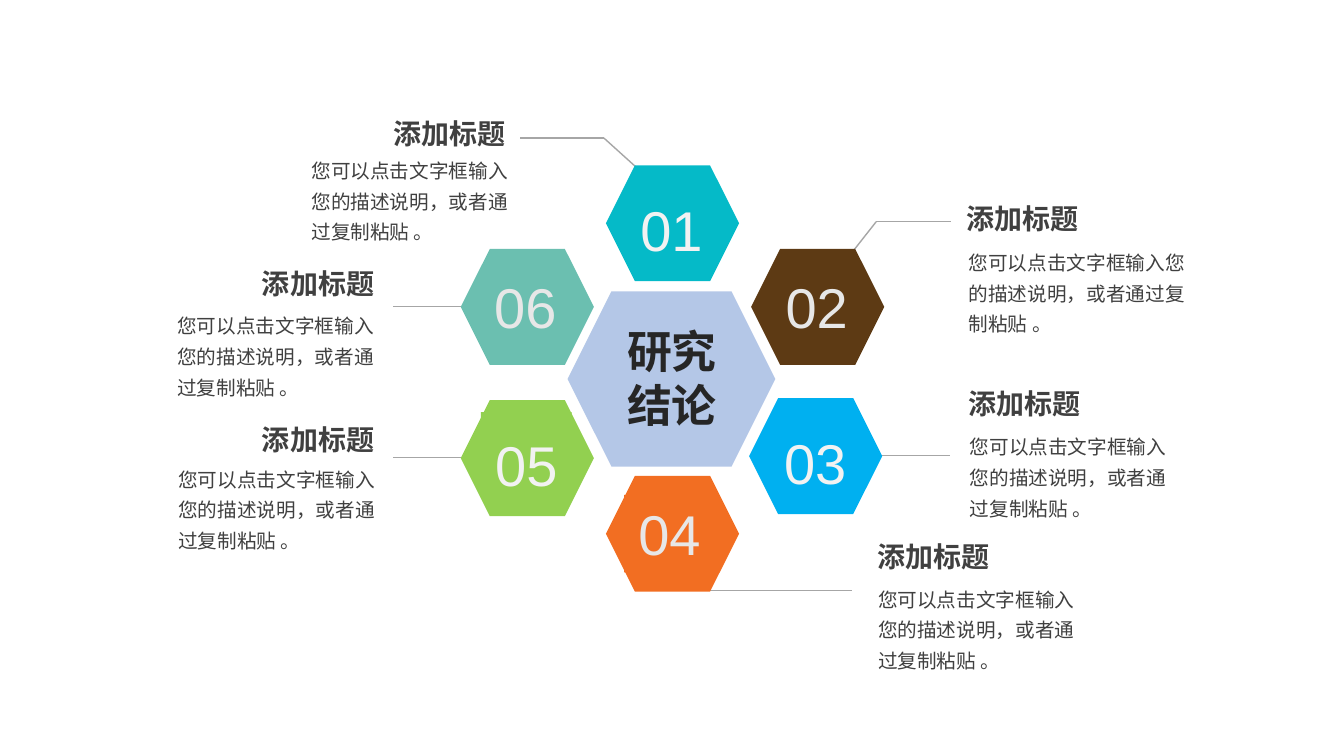
from dataclasses import dataclass
from itertools import pairwise

from lxml.etree import SubElement
from pptx import Presentation
from pptx.dml.color import RGBColor
from pptx.enum.shapes import MSO_CONNECTOR as Connector, MSO_SHAPE as Shape
from pptx.enum.text import MSO_ANCHOR as Anchor, MSO_AUTO_SIZE as AutoSize, PP_ALIGN as Align
from pptx.oxml.ns import qn
from pptx.util import Inches, Pt

LATIN_FONT = "Arial"
CHINESE_FONT = "Noto Sans CJK SC"
HEADING = "添加标题"
BODY = "您可以点击文字框输入您的描述说明，或者通过复制粘贴 。"
CENTRE_TITLE = "研究结论"
CENTRE_FILL = "B4C7E7"
LINE_COLOUR = "A6A6A6"
DARK_TEXT = "404040"
SOFT_WHITE = "E7E7E7"
BRIGHT_WHITE = "F2F2F2"

Point = tuple[float, float]
Area = tuple[float, float, float, float]


@dataclass
class TextStyle:
    size: int
    colour: str
    font: str = CHINESE_FONT
    bold: bool = False
    align: Align = Align.LEFT
    spacing: float = 1.0
    wrap: bool = True


@dataclass
class Topic:
    number: str
    fill: str
    hexagon: Point
    number_area: Area
    number_colour: str
    number_spacing: float
    heading: Point
    heading_align: Align
    body: Point
    leader: list[Point]
    body_width: float = 2.22
    number_backed: bool = False


TOPICS = [
    Topic("01", "05BAC8", (6.01, 1.64), (6.18, 1.76, 0.96, 0.83), BRIGHT_WHITE, 1.2,
          (3.79, 1.11), Align.RIGHT, (2.99, 1.46), [(6.3, 1.65), (5.99, 1.37), (5.16, 1.37)]),
    Topic("02", "5D3A14", (7.45, 2.47), (7.65, 2.65, 0.9, 0.77), SOFT_WHITE, 1.0,
          (9.49, 1.95), Align.LEFT, (9.51, 2.37), [(8.47, 2.48), (8.69, 2.2), (9.43, 2.2)],
          body_width=2.53),
    Topic("03", "00B0F0", (7.43, 3.95), (7.58, 4.07, 1.01, 0.83), BRIGHT_WHITE, 1.2,
          (9.51, 3.79), Align.LEFT, (9.52, 4.2), [(8.75, 4.52), (9.42, 4.52)]),
    Topic("04", "F26E22", (6.01, 4.72), (6.19, 4.91, 0.9, 0.77), SOFT_WHITE, 1.0,
          (8.6, 5.3), Align.LEFT, (8.61, 5.71), [(7.04, 5.86), (8.45, 5.86)],
          number_backed=True),
    Topic("05", "92D050", (4.57, 3.97), (4.77, 4.09, 0.9, 0.83), BRIGHT_WHITE, 1.2,
          (2.49, 4.14), Align.RIGHT, (1.67, 4.52), [(4.57, 4.54), (3.9, 4.54)],
          number_backed=True),
    Topic("06", "6BBFB0", (4.57, 2.47), (4.76, 2.65, 0.9, 0.77), SOFT_WHITE, 1.0,
          (2.49, 2.59), Align.RIGHT, (1.66, 3.0), [(4.57, 3.04), (3.9, 3.04)]),
]


def colour(value: str) -> RGBColor:
    return RGBColor.from_string(value)


def write_text(box, text: str, style: TextStyle) -> None:
    frame = box.text_frame
    frame.word_wrap = style.wrap
    frame.auto_size = AutoSize.SHAPE_TO_FIT_TEXT
    frame.vertical_anchor = Anchor.TOP
    para = frame.paragraphs[0]
    para.alignment = style.align
    para.line_spacing = style.spacing
    span = para.add_run()
    span.text = text
    span.font.size = Pt(style.size)
    span.font.bold = style.bold
    span.font.color.rgb = colour(style.colour)
    span.font.name = style.font
    SubElement(span.font._element, qn("a:ea"), typeface=style.font)


def add_text(page, area: Area, text: str, style: TextStyle):
    box = page.shapes.add_textbox(*map(Inches, area))
    write_text(box, text, style)
    return box


def add_hexagon(page, area: Area, fill: str) -> None:
    hexagon = page.shapes.add_shape(Shape.HEXAGON, *map(Inches, area))
    hexagon.shadow.inherit = False
    hexagon.fill.solid()
    hexagon.fill.fore_color.rgb = colour(fill)
    hexagon.line.fill.background()


def add_leader(page, points: list[Point]) -> None:
    for start, end in pairwise(points):
        line = page.shapes.add_connector(Connector.STRAIGHT, *map(Inches, start + end))
        line.line.color.rgb = colour(LINE_COLOUR)
        line.line.width = Pt(1)
        SubElement(line._element.spPr, qn("a:effectLst"))


def add_topic(page, topic: Topic) -> None:
    add_leader(page, topic.leader)
    add_hexagon(page, (*topic.hexagon, 1.32, 1.15), topic.fill)
    number_style = TextStyle(40, topic.number_colour, LATIN_FONT, align=Align.CENTER,
                             spacing=topic.number_spacing)
    number = add_text(page, topic.number_area, topic.number, number_style)
    if topic.number_backed:
        number.fill.solid()
        number.fill.fore_color.rgb = colour(topic.fill)
    heading_style = TextStyle(20, DARK_TEXT, bold=True, align=topic.heading_align, wrap=False)
    add_text(page, (*topic.heading, 1.32, 0.44), HEADING, heading_style)
    add_text(page, (*topic.body, topic.body_width, 0.99), BODY,
             TextStyle(14, DARK_TEXT, spacing=1.3))


def add_centre(page) -> None:
    add_hexagon(page, (5.63, 2.89, 2.06, 1.74), CENTRE_FILL)
    title = page.shapes.title
    title.left, title.top, title.width, title.height = map(Inches, (6.03, 3.16, 1.27, 1.21))
    write_text(title, CENTRE_TITLE, TextStyle(32, "262626", bold=True, align=Align.CENTER))
    page.shapes.element.append(title.element)


def main() -> None:
    deck = Presentation()
    deck.slide_width = Inches(13.33)
    deck.slide_height = Inches(7.5)
    page = deck.slides.add_slide(deck.slide_layouts[5])
    for topic in TOPICS:
        add_topic(page, topic)
    add_centre(page)
    deck.save("out.pptx")


if __name__ == "__main__":
    main()
